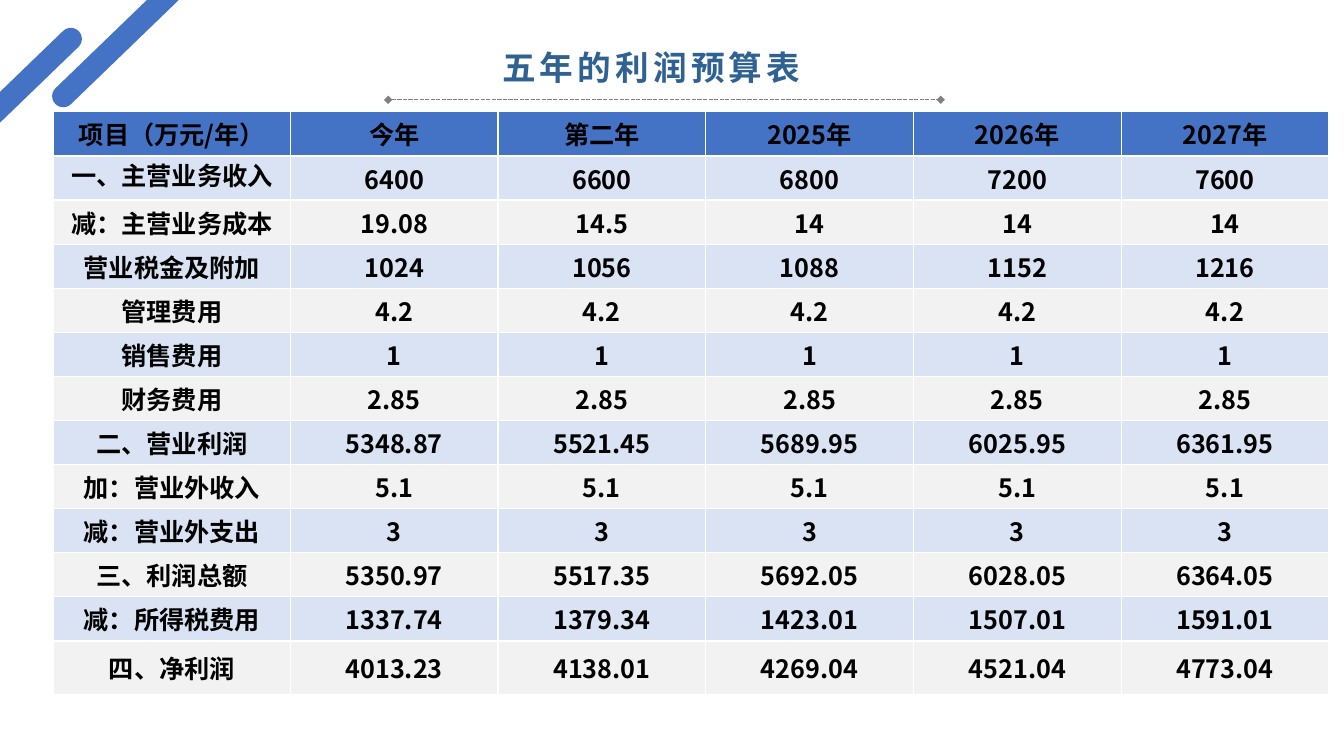
"""Build the five-year profit budget slide."""
from lxml import etree
from pptx import Presentation
from pptx.dml.color import RGBColor
from pptx.enum.dml import MSO_LINE
from pptx.enum.shapes import MSO_CONNECTOR, MSO_SHAPE
from pptx.enum.text import MSO_ANCHOR, MSO_AUTO_SIZE, PP_ALIGN
from pptx.oxml.ns import qn
from pptx.util import Inches, Pt

CJK = "Noto Sans CJK SC"
BLUE, BAND, GREY = "4472C4", "DAE3F3", "F2F2F2"
ROWS = [
    ["项目（万元/年）", "今年", "第二年", "2025年", "2026年", "2027年"],
    ["一、主营业务收入", "6400", "6600", "6800", "7200", "7600"],
    ["减：主营业务成本", "19.08", "14.5", "14", "14", "14"],
    ["营业税金及附加", "1024", "1056", "1088", "1152", "1216"],
    ["管理费用"] + ["4.2"] * 5,
    ["销售费用"] + ["1"] * 5,
    ["财务费用"] + ["2.85"] * 5,
    ["二、营业利润", "5348.87", "5521.45", "5689.95", "6025.95", "6361.95"],
    ["加：营业外收入"] + ["5.1"] * 5,
    ["减：营业外支出"] + ["3"] * 5,
    ["三、利润总额", "5350.97", "5517.35", "5692.05", "6028.05", "6364.05"],
    ["减：所得税费用", "1337.74", "1379.34", "1423.01", "1507.01", "1591.01"],
    ["四、净利润", "4013.23", "4138.01", "4269.04", "4521.04", "4773.04"],
]


def rgb(color):
    return RGBColor.from_string(color)


def style_run(r, size, font, color):
    r.font.size, r.font.name, r.font.bold = Pt(size), font, True
    r.font.color.rgb = rgb(color)
    etree.SubElement(r.font._element, qn("a:ea")).set("typeface", CJK)


prs = Presentation()
prs.slide_width, prs.slide_height = Inches(13.33), Inches(7.5)
s = prs.slides.add_slide(prs.slide_layouts[5])

frame = s.shapes.add_table(len(ROWS), len(ROWS[0]), Inches(0.53), Inches(1.11),
                           Inches(12.66), Inches(5.78))
table = frame.table
for i, col in enumerate(table.columns):
    col.width = Inches(2.06 if i else 2.35)
for row in table.rows:
    row.height = Inches(5.25 / 12)
table.rows[len(ROWS) - 1].height = Inches(0.53)

for i, values in enumerate(ROWS):
    for j, value in enumerate(values):
        cell = table.cell(i, j)
        cell.margin_left = cell.margin_right = cell.margin_top = cell.margin_bottom = 0
        top = (i, j) == (1, 0)
        cell.vertical_anchor = MSO_ANCHOR.TOP if top else MSO_ANCHOR.MIDDLE
        for side in ("lnL", "lnR", "lnT", "lnB"):
            ln = etree.SubElement(cell._tc.get_or_add_tcPr(), qn(f"a:{side}"), w="12700")
            fill = etree.SubElement(ln, qn("a:solidFill"))
            etree.SubElement(fill, qn("a:srgbClr"), val="FFFFFF")
        cell.fill.solid()
        cell.fill.fore_color.rgb = rgb(BLUE if i == 0 else BAND if i % 2 else GREY)
        cell.text_frame.text = value
        p = cell.text_frame.paragraphs[0]
        p.alignment = PP_ALIGN.CENTER
        style_run(p.runs[0], 18, CJK, "000000")

for left, top in ((-0.68, 0.79), (0.31, 0.33)):
    bar = s.shapes.add_shape(MSO_SHAPE.ROUNDED_RECTANGLE, Inches(left), Inches(top),
                             Inches(1.7), Inches(0.22))
    bar.adjustments[0] = 0.5
    bar.rotation = 316
    bar.shadow.inherit = False
    bar.fill.solid()
    bar.fill.fore_color.rgb = rgb(BLUE)
    bar.line.fill.background()

rule = s.shapes.add_connector(MSO_CONNECTOR.STRAIGHT, Inches(3.85), Inches(0.99),
                              Inches(9.33), Inches(0.99))
rule.line.color.rgb = rgb("808080")
rule.line.width = Pt(1)
rule.line.dash_style = MSO_LINE.SQUARE_DOT
for end in ("headEnd", "tailEnd"):
    etree.SubElement(rule.line._get_or_add_ln(), qn(f"a:{end}"), type="diamond")
etree.SubElement(rule._element.spPr, qn("a:effectLst"))

title = s.shapes.title
title.left, title.top = Inches(4.88), Inches(0.42)
title.width, title.height = Inches(3.42), Inches(0.5)
tf = title.text_frame
tf.text = "五年的利润预算表"
tf.word_wrap = True
tf.auto_size = MSO_AUTO_SIZE.NONE
tf.vertical_anchor = MSO_ANCHOR.MIDDLE
p = tf.paragraphs[0]
p.alignment = PP_ALIGN.JUSTIFY
style_run(p.runs[0], 24, "Open Sans", "2F6292")
p.runs[0].font._element.set("spc", "300")

prs.save("out.pptx")
